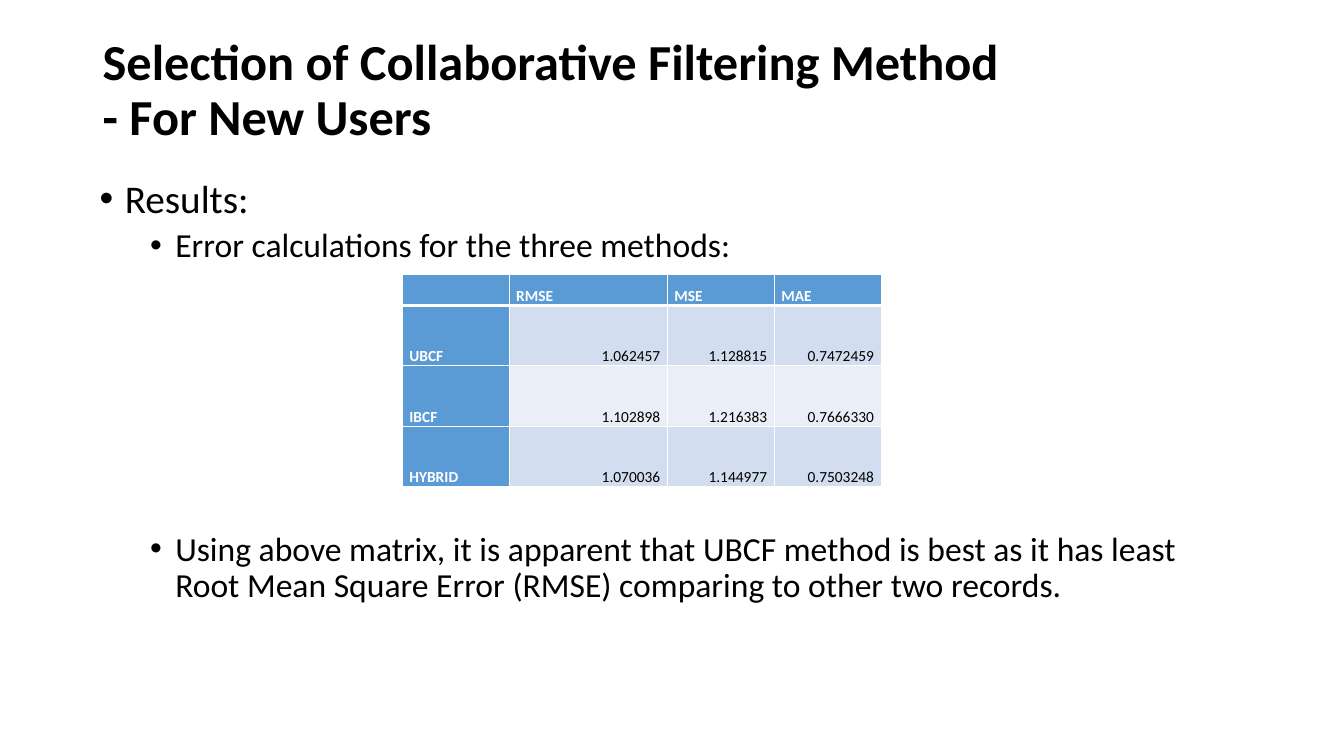
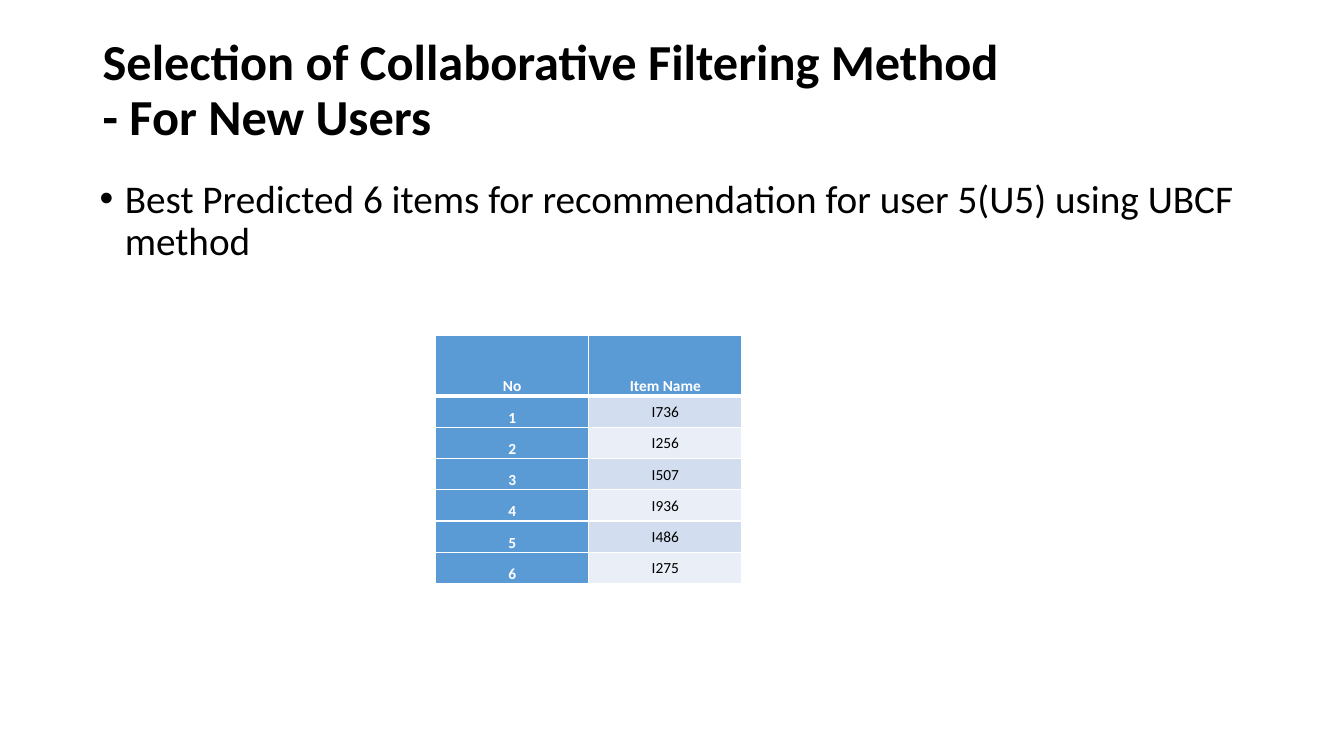
from lxml import etree
from pptx import Presentation
from pptx.dml.color import RGBColor as RGB
from pptx.enum.text import MSO_ANCHOR as ANCHOR, PP_ALIGN as ALIGN
from pptx.oxml.ns import qn
from pptx.util import Inches, Pt

COLORS = {"text": "000000", "white": "FFFFFF", "head": "5B9BD5",
          "band1": "D2DEEF", "band2": "EAEFF7"}
FONT = "Calibri"
TITLE = "Selection of Collaborative Filtering Method\n- For New Users"

SLIDES = [
    {
        # (text, level, space before in points)
        "bullets": [
            ("Results:", 0, 10),
            ("Error calculations for the three methods:", 1, 5),
            ("Using above matrix, it is apparent that UBCF method is best as it "
             "has least Root Mean Square Error (RMSE) comparing to other two "
             "records.", 1, 191),
        ],
        "rows": [
            ("", "RMSE", "MSE", "MAE"),
            ("UBCF", "1.062457", "1.128815", "0.7472459"),
            ("IBCF", "1.102898", "1.216383", "0.7666330"),
            ("HYBRID", "1.070036", "1.144977", "0.7503248"),
        ],
        "at": (3.99, 2.72),
        "widths": [1.06, 1.57, 1.06, 1.06],
        "heights": [0.31] + [0.6] * 3,
        "label_align": ALIGN.LEFT,
        "value_align": ALIGN.RIGHT,
        "value_anchor": ANCHOR.BOTTOM,
    },
    {
        "bullets": [
            ("Best Predicted 6 items for recommendation for user 5(U5) using "
             "UBCF method", 0, 10),
        ],
        "rows": [("No", "Item Name"), ("1", "I736"), ("2", "I256"),
                 ("3", "I507"), ("4", "I936"), ("5", "I486"), ("6", "I275")],
        "at": (4.32, 3.33),
        "widths": [1.52] * 2,
        "heights": [0.6] + [0.31] * 6,
        "label_align": ALIGN.CENTER,
        "value_align": ALIGN.CENTER,
        "value_anchor": ANCHOR.MIDDLE,
    },
]


def write(p, text, size=11, color="text", bold=False, align=ALIGN.LEFT,
          spacing=0.9, before=0, level=None):
    """Fill a paragraph; a level makes it a bullet."""
    p.text = text
    p.alignment = align
    p.line_spacing = spacing
    p.space_before = Pt(before)
    for r in p.runs:
        r.font.name = FONT
        r.font.size = Pt(size)
        r.font.bold = bold
        r.font.color.rgb = RGB.from_string(COLORS[color])
    if level is not None:
        p.level = level
        pPr = p._p.get_or_add_pPr()
        pPr.set("marL", str(Inches(0.25 + 0.5 * level)))
        pPr.set("indent", str(Inches(-0.25)))
        etree.SubElement(pPr, qn("a:buFont"), typeface="Arial")
        etree.SubElement(pPr, qn("a:buChar"), char="•")


def style_cell(cell, fill, top, bottom):
    """Set white borders, fill and margins of a table cell."""
    tcPr = cell._tc.get_or_add_tcPr()
    for side, width in (("L", 1), ("R", 1), ("T", top), ("B", bottom)):
        ln = etree.SubElement(tcPr, qn(f"a:ln{side}"), w=str(Pt(width)))
        line = etree.SubElement(ln, qn("a:solidFill"))
        etree.SubElement(line, qn("a:srgbClr"), val=COLORS["white"])
    cell.fill.solid()
    cell.fill.fore_color.rgb = RGB.from_string(COLORS[fill])
    cell.margin_left = cell.margin_right = Inches(0.07)
    cell.margin_top = cell.margin_bottom = 0


prs = Presentation()
prs.slide_width, prs.slide_height = Inches(13.33), Inches(7.5)

for content in SLIDES:
    s = prs.slides.add_slide(prs.slide_layouts[6])

    # Title
    tf = s.shapes.add_textbox(Inches(0.92), Inches(0.32),
                              Inches(11.5), Inches(1.2)).text_frame
    tf.word_wrap = True
    write(tf.paragraphs[0], TITLE, size=36, bold=True)

    # Bullets
    tf = s.shapes.add_textbox(Inches(0.89), Inches(1.73),
                              Inches(11.5), Inches(4.76)).text_frame
    tf.word_wrap = True
    for i, (text, level, before) in enumerate(content["bullets"]):
        p = tf.add_paragraph() if i else tf.paragraphs[0]
        write(p, text, size=28 - 4 * level, before=before, level=level)

    # Table
    rows, widths, heights = content["rows"], content["widths"], content["heights"]
    left, top = content["at"]
    table = s.shapes.add_table(len(rows), len(widths), Inches(left), Inches(top),
                               Inches(sum(widths)), Inches(sum(heights))).table
    table.first_row = table.horz_banding = False
    for col, width in zip(table.columns, widths):
        col.width = Inches(width)
    for row, height in zip(table.rows, heights):
        row.height = Inches(height)
    for i, row in enumerate(rows):
        for j, text in enumerate(row):
            cell = table.cell(i, j)
            label = i == 0 or j == 0
            fill = "head" if label else "band1" if i % 2 else "band2"
            style_cell(cell, fill, top=3 if i == 1 else 1, bottom=3 if i == 0 else 1)
            cell.vertical_anchor = ANCHOR.BOTTOM if label else content["value_anchor"]
            write(cell.text_frame.paragraphs[0], text, bold=label, spacing=1.07,
                  color="white" if label else "text",
                  align=content["label_align" if label else "value_align"])

prs.save("out.pptx")
